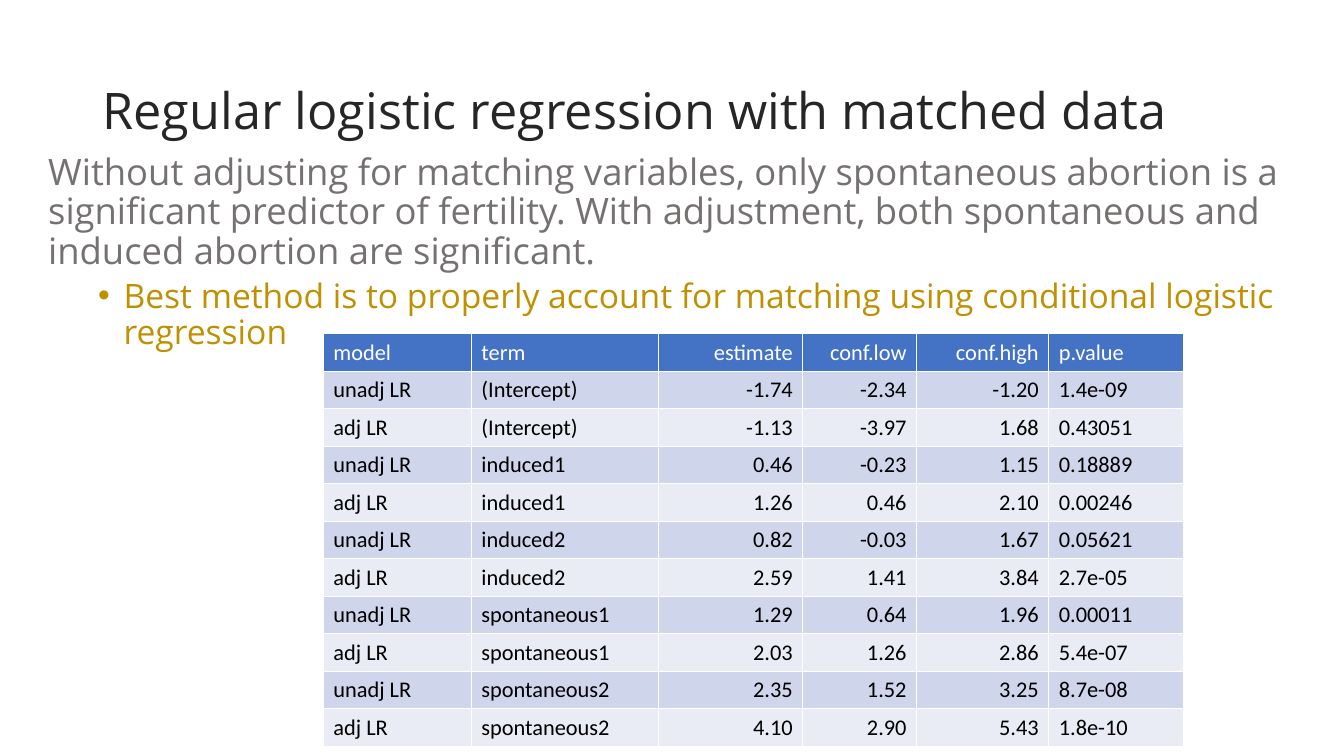
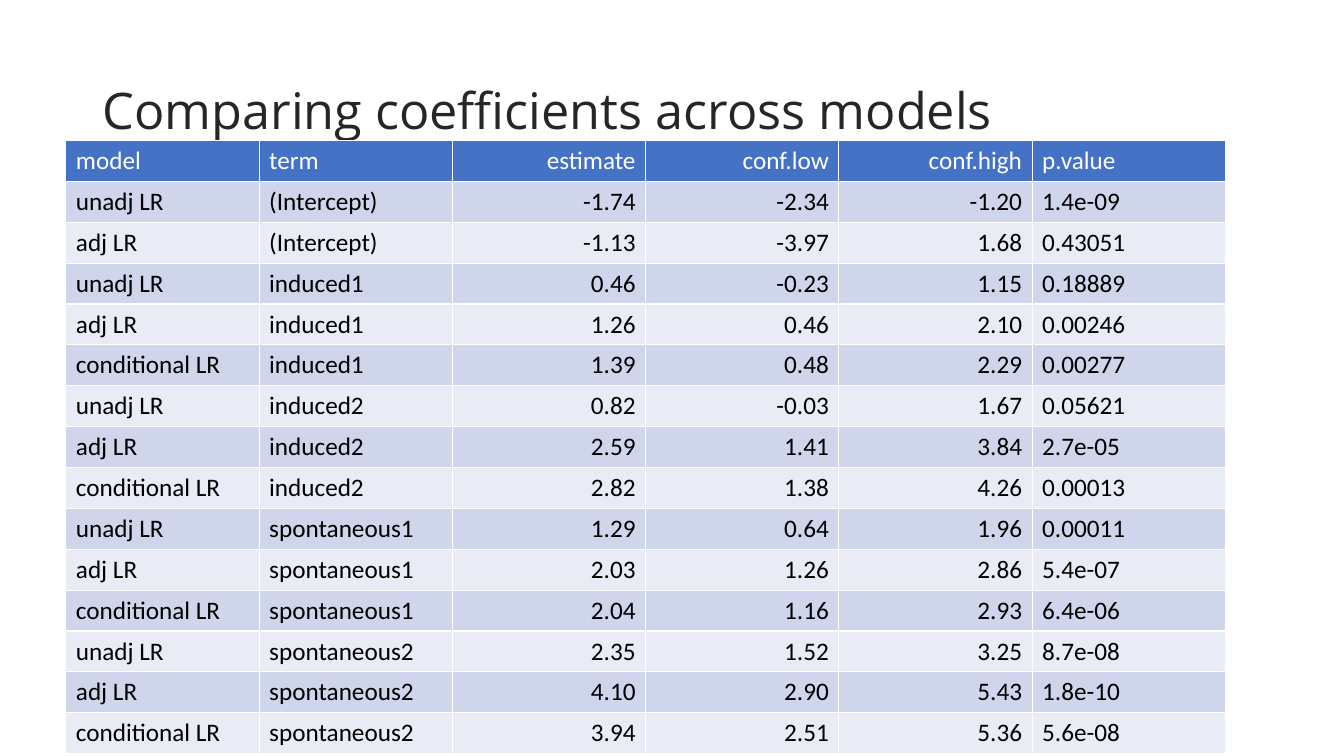
from lxml.etree import SubElement
from pptx import Presentation
from pptx.dml.color import RGBColor
from pptx.enum.text import MSO_ANCHOR as Anchor, MSO_AUTO_SIZE as AutoSize, PP_ALIGN as Align
from pptx.oxml.ns import qn
from pptx.util import Cm, Pt

# Shared colours and fonts
TITLE_COLOR = RGBColor(0x26, 0x26, 0x26)
BODY_COLOR = RGBColor(0x76, 0x71, 0x71)
POINT_COLOR = RGBColor(0xBF, 0x90, 0x00)
HEADER_FILL = RGBColor(0x44, 0x72, 0xC4)
BAND_FILLS = [RGBColor(0xE9, 0xEB, 0xF5), RGBColor(0xCF, 0xD5, 0xEA)]
WHITE = RGBColor(0xFF, 0xFF, 0xFF)
BLACK = RGBColor(0x00, 0x00, 0x00)
TEXT_FONT = "Open Sans"
TABLE_FONT = "Calibri"

# Model results
HEADER = ("model", "term", "estimate", "conf.low", "conf.high", "p.value")
NUMBER_COLUMNS = ("estimate", "conf.low", "conf.high")
RESULTS = [
    ("unadj LR", "(Intercept)", "-1.74", "-2.34", "-1.20", "1.4e-09"),
    ("adj LR", "(Intercept)", "-1.13", "-3.97", "1.68", "0.43051"),
    ("unadj LR", "induced1", "0.46", "-0.23", "1.15", "0.18889"),
    ("adj LR", "induced1", "1.26", "0.46", "2.10", "0.00246"),
    ("conditional LR", "induced1", "1.39", "0.48", "2.29", "0.00277"),
    ("unadj LR", "induced2", "0.82", "-0.03", "1.67", "0.05621"),
    ("adj LR", "induced2", "2.59", "1.41", "3.84", "2.7e-05"),
    ("conditional LR", "induced2", "2.82", "1.38", "4.26", "0.00013"),
    ("unadj LR", "spontaneous1", "1.29", "0.64", "1.96", "0.00011"),
    ("adj LR", "spontaneous1", "2.03", "1.26", "2.86", "5.4e-07"),
    ("conditional LR", "spontaneous1", "2.04", "1.16", "2.93", "6.4e-06"),
    ("unadj LR", "spontaneous2", "2.35", "1.52", "3.25", "8.7e-08"),
    ("adj LR", "spontaneous2", "4.10", "2.90", "5.43", "1.8e-10"),
    ("conditional LR", "spontaneous2", "3.94", "2.51", "5.36", "5.6e-08"),
]
REGULAR_RESULTS = [row for row in RESULTS if row[0] != "conditional LR"]

SLIDES = [
    {
        "title": "Regular logistic regression with matched data",
        "layout": 1,
        "body": [
            {
                "text": "Without adjusting for matching variables, only spontaneous "
                        "abortion is a significant predictor of fertility. With "
                        "adjustment, both spontaneous and induced abortion are significant.",
                "level": 0, "space": 10, "margin": Cm(0), "indent": Cm(0),
                "bullet": None, "size": 26, "color": BODY_COLOR,
            },
            {
                "text": "Best method is to properly account for matching using "
                        "conditional logistic regression",
                "level": 1, "space": 5, "margin": Cm(1.9), "indent": Cm(-0.64),
                "bullet": "•", "size": 24, "color": POINT_COLOR,
            },
        ],
        "rows": REGULAR_RESULTS, "left": 8.15, "top": 8.41,
        "widths": [3.73, 4.72, 3.63, 2.87, 3.33, 3.4],
        "row_height": 0.93, "size": 16,
    },
    {
        "title": "Comparing coefficients across models",
        "layout": 5,
        "body": [],
        "rows": RESULTS, "left": 1.66, "top": 3.54,
        "widths": [4.87] * len(HEADER),
        "row_height": 1.02, "size": 18,
    },
]


def place(shape, left, top, width, height):
    box = {"left": left, "top": top, "width": width, "height": height}
    for name, value in box.items():
        setattr(shape, name, Cm(value))


def write(paragraph, text, size, font, color):
    run = paragraph.add_run()
    run.text = text
    for name, value in {"size": Pt(size), "name": font, "bold": False}.items():
        setattr(run.font, name, value)
    run.font.color.rgb = color


presentation = Presentation()
presentation.slide_width = Cm(33.87)
presentation.slide_height = Cm(19.05)

for content in SLIDES:
    slide = presentation.slides.add_slide(presentation.slide_layouts[content["layout"]])

    # Title
    title = slide.shapes.title
    place(title, 2.33, 1.01, 29.21, 3.68)
    title.text_frame.vertical_anchor = Anchor.MIDDLE
    title.text_frame.auto_size = AutoSize.NONE
    paragraph = title.text_frame.paragraphs[0]
    paragraph.alignment = Align.LEFT
    paragraph.line_spacing = 0.9
    write(paragraph, content["title"], 36, TEXT_FONT, TITLE_COLOR)

    # Body text
    if content["body"]:
        body = slide.placeholders[1]
        place(body, 0.96, 3.76, 32.41, 12.09)
        body.text_frame.auto_size = AutoSize.NONE
    for number, point in enumerate(content["body"]):
        frame = body.text_frame
        paragraph = frame.add_paragraph() if number else frame.paragraphs[0]
        paragraph.level = point["level"]
        paragraph.line_spacing = 0.9
        paragraph.space_before = Pt(point["space"])
        write(paragraph, point["text"], point["size"], TEXT_FONT, point["color"])
        properties = paragraph._p.get_or_add_pPr()
        properties.set("marL", str(int(point["margin"])))
        properties.set("indent", str(int(point["indent"])))
        if point["bullet"]:
            SubElement(properties, qn("a:buFont"), typeface="Arial")
            SubElement(properties, qn("a:buChar"), char=point["bullet"])
        else:
            SubElement(properties, qn("a:buNone"))

    # Results table
    rows = [HEADER] + content["rows"]
    widths = content["widths"]
    table = slide.shapes.add_table(
        len(rows), len(HEADER), Cm(content["left"]), Cm(content["top"]),
        Cm(sum(widths)), Cm(content["row_height"] * len(rows))).table
    for column, width in zip(table.columns, widths):
        column.width = Cm(width)
    for row_number, values in enumerate(rows):
        table.rows[row_number].height = Cm(content["row_height"])
        is_header = row_number == 0
        for column_number, value in enumerate(values):
            cell = table.cell(row_number, column_number)
            cell.fill.solid()
            cell.fill.fore_color.rgb = HEADER_FILL if is_header else BAND_FILLS[row_number % 2]
            paragraph = cell.text_frame.paragraphs[0]
            is_number = HEADER[column_number] in NUMBER_COLUMNS
            paragraph.alignment = Align.RIGHT if is_number else Align.LEFT
            write(paragraph, value, content["size"], TABLE_FONT, WHITE if is_header else BLACK)

presentation.save("out.pptx")
